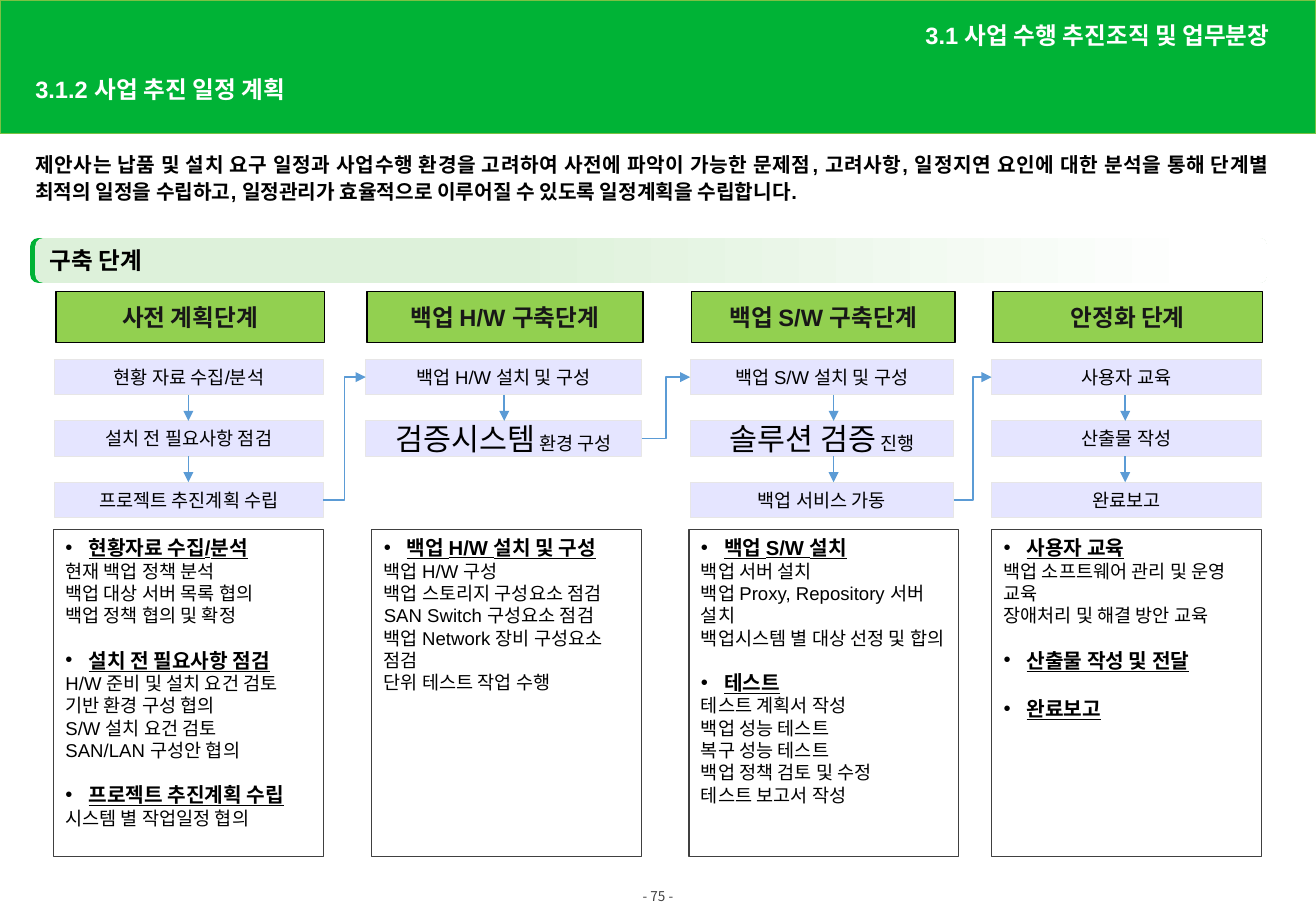
import pptx
import pptx.dml.color
import pptx.enum.shapes
import pptx.enum.text
import pptx.util
from lxml import etree
from pptx.oxml.ns import qn

Inches, Pt = pptx.util.Inches, pptx.util.Pt
SHAPE = pptx.enum.shapes.MSO_SHAPE
CONNECTOR = pptx.enum.shapes.MSO_CONNECTOR
ALIGN = pptx.enum.text.PP_ALIGN
ANCHOR = pptx.enum.text.MSO_ANCHOR

KOREAN = "Noto Sans CJK KR"
STEP_TOP, STEP_PITCH, STEP_H = 2.96, 0.505, 0.29

# Each step is (large text, normal text); each detail group is (heading, items)
STAGES = [
    dict(name="사전 계획단계", x=0.45, w=2.21, arrow_x=1.55, detail_x=0.44,
         steps=[("", "현황 자료 수집/분석"), ("", "설치 전 필요사항 점검"),
                ("", "프로젝트 추진계획 수립")],
         details=[("현황자료 수집/분석",
                   ["현재 백업 정책 분석", "백업 대상 서버 목록 협의", "백업 정책 협의 및 확정"]),
                  ("설치 전 필요사항 점검",
                   ["H/W 준비 및 설치 요건 검토", "기반 환경 구성 협의",
                    "S/W 설치 요건 검토", "SAN/LAN 구성안 협의"]),
                  ("프로젝트 추진계획 수립", ["시스템 별 작업일정 협의"])]),
    dict(name="백업 H/W 구축단계", x=3.01, w=2.27, arrow_x=4.15, detail_x=3.06,
         steps=[("", "백업 H/W 설치 및 구성"), ("검증시스템", " 환경 구성")],
         details=[("백업 H/W 설치 및 구성",
                   ["백업 H/W 구성", "백업 스토리지 구성요소 점검",
                    "SAN Switch 구성요소 점검", "백업 Network 장비 구성요소 점검",
                    "단위 테스트 작업 수행"])]),
    dict(name="백업 S/W 구축단계", x=5.68, w=2.17, arrow_x=6.86, detail_x=5.67,
         steps=[("", "백업 S/W 설치 및 구성"), ("솔루션 검증", " 진행"),
                ("", "백업 서비스 가동")],
         details=[("백업 S/W 설치",
                   ["백업 서버 설치", "백업 Proxy, Repository 서버 설치",
                    "백업시스템 별 대상 선정 및 합의"]),
                  ("테스트",
                   ["테스트 계획서 작성", "백업 성능 테스트", "복구 성능 테스트",
                    "백업 정책 검토 및 수정", "테스트 보고서 작성"])]),
    dict(name="안정화 단계", x=8.16, w=2.22, arrow_x=9.26, detail_x=8.16,
         steps=[("", "사용자 교육"), ("", "산출물 작성"), ("", "완료보고")],
         details=[("사용자 교육",
                   ["백업 소프트웨어 관리 및 운영 교육", "장애처리 및 해결 방안 교육"]),
                  ("산출물 작성 및 전달", []), ("완료보고", [])]),
]


def rgb(color):
    return pptx.dml.color.RGBColor.from_string(color)


def add_run(p, text, size, color="000000", bold=False, underline=False, font="Arial"):
    r = p.add_run()
    r.text = text
    r.font.name = font
    r.font.size = Pt(size)
    r.font.bold = bold
    r.font.underline = underline
    r.font.color.rgb = rgb(color)
    etree.SubElement(r.font._element, qn("a:ea"), typeface=KOREAN)


def set_bullet(p, char=None):
    pPr = p._p.get_or_add_pPr()
    indent = Inches(0.19) if char else 0
    pPr.set("marL", str(indent))
    pPr.set("indent", str(-indent))
    if char:
        etree.SubElement(pPr, qn("a:buFont"), typeface="Arial")
        etree.SubElement(pPr, qn("a:buChar"), char=char)
    else:
        etree.SubElement(pPr, qn("a:buNone"))


def fill_placeholder(sp, box, text, size, color, align, anchor, spacing):
    sp.left, sp.top, sp.width, sp.height = map(Inches, box)
    tf = sp.text_frame
    tf.auto_size = pptx.enum.text.MSO_AUTO_SIZE.NONE
    tf.word_wrap = True
    tf.vertical_anchor = anchor
    p = tf.paragraphs[0]
    set_bullet(p)
    p.alignment = align
    p.line_spacing = spacing
    p.space_before = Pt(0)
    add_run(p, text, size, color, bold=True)


def add_box(s, kind, x, y, w, h, fill=None, line=None, width=1):
    sp = s.shapes.add_shape(kind, Inches(x), Inches(y), Inches(w), Inches(h))
    sp.shadow.inherit = False
    if fill:
        sp.fill.solid()
        sp.fill.fore_color.rgb = rgb(fill)
    else:
        sp.fill.background()
    if line:
        sp.line.color.rgb = rgb(line)
        sp.line.width = Pt(width)
    else:
        sp.line.fill.background()
    return sp


def add_arrow(s, kind, x1, y1, x2, y2):
    c = s.shapes.add_connector(kind, Inches(x1), Inches(y1), Inches(x2), Inches(y2))
    c.line.color.rgb = rgb("5B9BD5")
    c.line.width = Pt(1)
    etree.SubElement(c.line._get_or_add_ln(), qn("a:tailEnd"), type="triangle")
    etree.SubElement(c._element.spPr, qn("a:effectLst"))


def add_section_bar(s, text):
    sp = add_box(s, SHAPE.ROUNDED_RECTANGLE, 0.29, 1.96, 10.14, 0.37)
    sp.adjustments[0] = 0.185
    sp.fill.gradient()
    sp.fill.gradient_angle = 0
    for stop, position, color in zip(sp.fill.gradient_stops, (0.38, 0.95),
                                     ("DDF1DA", "FFFFFF")):
        stop.position = position
        stop.color.rgb = rgb(color)
    # Green edge on the left, cast as a hard shadow
    effects = sp._element.spPr.find(qn("a:effectLst"))
    shadow = etree.SubElement(effects, qn("a:outerShdw"), blurRad="0",
                              dist=str(Pt(3)), dir="10800000", algn="r", rotWithShape="0")
    etree.SubElement(shadow, qn("a:srgbClr"), val="00B235")
    p = sp.text_frame.paragraphs[0]
    p.alignment = ALIGN.LEFT
    add_run(p, text, 14, bold=True, font=KOREAN)


def add_step(s, x, y, w, large, normal):
    sp = add_box(s, SHAPE.RECTANGLE, x, y, w, STEP_H, "CCCCFF", "E7E6E6", 0.5)
    color = sp._element.spPr.find(qn("a:solidFill"))[0]
    etree.SubElement(color, qn("a:alpha"), val="50000")
    tf = sp.text_frame
    tf.word_wrap = False
    tf.margin_left = tf.margin_right = Inches(0.06)
    p = tf.paragraphs[0]
    p.alignment = ALIGN.CENTER
    if large:
        add_run(p, large, 18)
    add_run(p, normal, 11)


def add_details(s, x, groups):
    sp = add_box(s, SHAPE.RECTANGLE, x, 4.36, 2.22, 2.69, line="404040", width=0.75)
    tf = sp.text_frame
    tf.word_wrap = True
    tf.vertical_anchor = ANCHOR.TOP
    for i, (heading, items) in enumerate(groups):
        p = tf.add_paragraph() if i else tf.paragraphs[0]
        p.alignment = ALIGN.LEFT
        set_bullet(p, "•")
        if i:
            p.space_before = Pt(12.5 if groups[i - 1][1] else 14.5)
        add_run(p, heading, 12, bold=True, underline=True)
        for item in items:
            p = tf.add_paragraph()
            p.alignment = ALIGN.LEFT
            add_run(p, item, 11)


def add_stage(s, stage):
    x, w = stage["x"], stage["w"]
    sp = add_box(s, SHAPE.RECTANGLE, x + 0.01, 2.4, w, 0.42, "92D050", "000000")
    p = sp.text_frame.paragraphs[0]
    p.alignment = ALIGN.CENTER
    add_run(p, stage["name"], 14, "181717", bold=True)
    for i, (large, normal) in enumerate(stage["steps"]):
        y = STEP_TOP + i * STEP_PITCH
        add_step(s, x, y, w, large, normal)
        if i:
            add_arrow(s, CONNECTOR.STRAIGHT, stage["arrow_x"], y - STEP_PITCH + STEP_H,
                      stage["arrow_x"], y)
    add_details(s, stage["detail_x"], stage["details"])


def main():
    prs = pptx.Presentation()
    prs.slide_width, prs.slide_height = Inches(10.83), Inches(7.5)
    s = prs.slides.add_slide(prs.slide_layouts[3])

    # Header band behind the titles
    band = add_box(s, SHAPE.RECTANGLE, 0, 0, 10.83, 1.1, "00B336", "7BC144")
    s.shapes._spTree.insert(2, band._element)
    title, intro, chapter = s.placeholders
    fill_placeholder(title, (0.19, 0.59, 6.4, 0.31), "3.1.2 사업 추진 일정 계획",
                     14, "FFFFFF", ALIGN.LEFT, ANCHOR.MIDDLE, 0.9)
    fill_placeholder(chapter, (5.75, 0.11, 4.8, 0.39), "3.1 사업 수행 추진조직 및 업무분장",
                     14, "FFFFFF", ALIGN.RIGHT, ANCHOR.MIDDLE, 0.9)
    fill_placeholder(intro, (0.19, 1.18, 10.35, 0.7),
                     "제안사는 납품 및 설치 요구 일정과 사업수행 환경을 고려하여 사전에 파악이 가능한 "
                     "문제점, 고려사항, 일정지연 요인에 대한 분석을 통해 단계별 최적의 일정을 수립하고, "
                     "일정관리가 효율적으로 이루어질 수 있도록 일정계획을 수립합니다.",
                     12, "000000", ALIGN.JUSTIFY, ANCHOR.TOP, Pt(16))

    # Build stages and the links between them
    add_section_bar(s, "구축 단계")
    for stage in STAGES:
        add_stage(s, stage)
    first_y = STEP_TOP + STEP_H / 2
    for stage, following in zip(STAGES, STAGES[1:]):
        last_y = first_y + (len(stage["steps"]) - 1) * STEP_PITCH
        add_arrow(s, CONNECTOR.ELBOW, stage["x"] + stage["w"], last_y,
                  following["x"], first_y)

    # Page number
    tf = s.shapes.add_textbox(Inches(5.12), Inches(7.31), Inches(0.59), Inches(0.13)).text_frame
    tf.word_wrap = True
    tf.margin_left = tf.margin_right = tf.margin_top = tf.margin_bottom = 0
    p = tf.paragraphs[0]
    p.alignment = ALIGN.CENTER
    add_run(p, "- 75 -", 8, "404040", font=KOREAN)

    prs.save("out.pptx")


if __name__ == "__main__":
    main()
